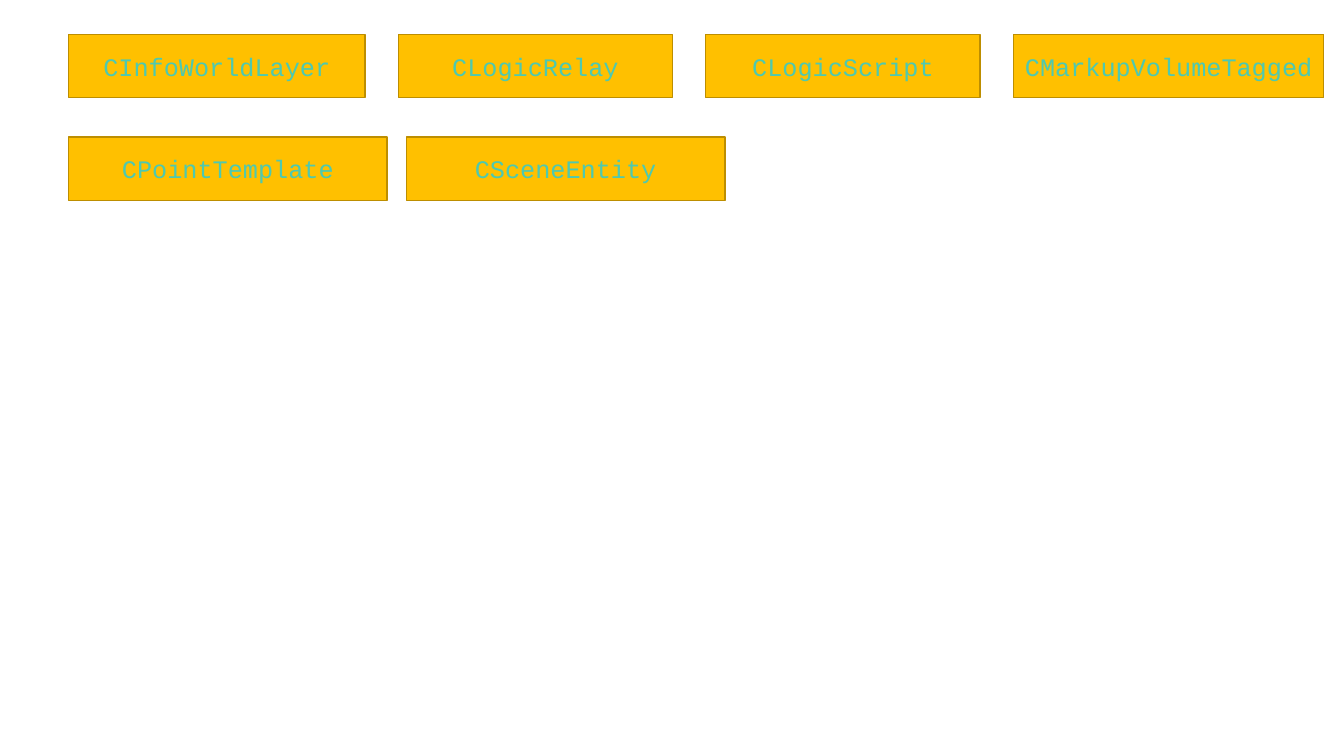
from dataclasses import dataclass

from pptx import Presentation
from pptx import util as u
from pptx.dml.color import RGBColor
from pptx.enum import shapes, text


@dataclass(frozen=True)
class Theme:
    fill: str = "FFC000"
    line: str = "BD8E00"
    label: str = "4EC9B0"
    font: str = "Courier New"
    size: int = 18
    line_width: int = 1


class SlideBuilder:
    def __init__(self, slide, theme):
        self.s = slide
        self.theme = theme

    def format(self, target, values):
        for name, value in values.items():
            setattr(target, name, value)

    def box(self, label, left, top, width, height):
        t = self.theme
        sp = self.s.shapes.add_shape(
            shapes.MSO_SHAPE.RECTANGLE,
            *(u.Inches(v) for v in (left, top, width, height)))
        sp.shadow.inherit = False
        sp.fill.solid()
        sp.fill.fore_color.rgb = RGBColor.from_string(t.fill)
        sp.line.color.rgb = RGBColor.from_string(t.line)
        sp.line.width = u.Pt(t.line_width)

        tf = sp.text_frame
        self.format(tf, {"word_wrap": True,
                         "vertical_anchor": text.MSO_ANCHOR.MIDDLE})
        p = tf.paragraphs[0]
        p.alignment = text.PP_ALIGN.CENTER
        r = p.add_run()
        r.text = label
        self.format(r.font, {"name": t.font, "size": u.Pt(t.size)})
        r.font.color.rgb = RGBColor.from_string(t.label)

    def row(self, boxes, left, top, height, gap):
        for label, width in boxes:
            self.box(label, left, top, width, height)
            left += width + gap


prs = Presentation()
prs.slide_width, prs.slide_height = u.Inches(13.33), u.Inches(7.5)
s = prs.slides.add_slide(prs.slide_layouts[6])
builder = SlideBuilder(s, Theme())

LEFT, HEIGHT = 0.68, 0.63

# First row: world, logic and markup classes
builder.row([("CInfoWorldLayer", 2.94), ("CLogicRelay", 2.72),
             ("CLogicScript", 2.72), ("CMarkupVolumeTagged", 3.08)],
            LEFT, 0.34, HEIGHT, gap=0.33)

# Second row: template and scene classes
builder.row([("CPointTemplate", 3.16), ("CSceneEntity", 3.16)],
            LEFT, 1.36, HEIGHT, gap=0.19)

prs.save("out.pptx")
